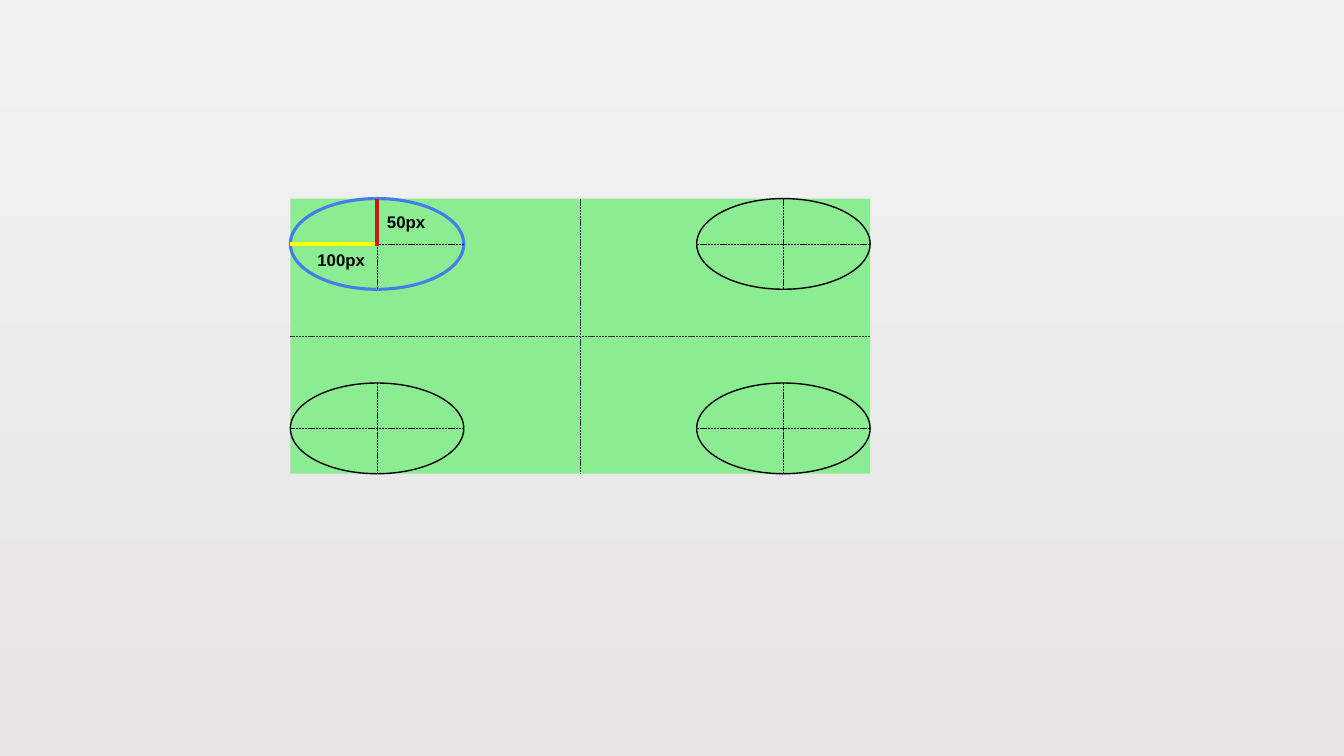
from lxml import etree
from pptx import Presentation
from pptx.dml.color import RGBColor
from pptx.enum import dml, shapes, text
from pptx.oxml import ns
from pptx.util import Inches, Pt

COLORS = {"top": "F2F2F2", "bottom": "E6E4E4", "box": "8CEC92", "axis": "3B3737",
          "black": "000000", "blue": "477DEA", "yellow": "FFFF00", "red": "C51A16"}
LEFT, TOP, WIDTH, HEIGHT = 2.88, 1.97, 5.75, 2.73
OVAL_W, OVAL_H = 1.72, 0.9
RIGHT, BOTTOM = LEFT + WIDTH, TOP + HEIGHT
OVALS = [(LEFT, TOP, "blue", 2.25), (RIGHT - OVAL_W, TOP, "black", 1),
         (RIGHT - OVAL_W, BOTTOM - OVAL_H, "black", 1), (LEFT, BOTTOM - OVAL_H, "black", 1)]
CX, CY = LEFT + OVAL_W / 2, TOP + OVAL_H / 2
RADII = [(LEFT, CY, CX, CY, "yellow"), (CX, TOP, CX, CY + 0.02, "red")]
LABELS = [("50px", 3.74, 2.05), ("100px", 3.05, 2.43)]
FONT = {"name": "Arial", "size": Pt(12), "bold": True}


def rgb(name):
    return RGBColor.from_string(COLORS[name])


def set_line(sp, color, width):
    sp.line.color.rgb = rgb(color)
    sp.line.width = Pt(width)


def add_shape(kind, x, y, w, h):
    sp = s.shapes.add_shape(kind, *map(Inches, (x, y, w, h)))
    sp.shadow.inherit = False
    return sp


def add_line(x1, y1, x2, y2, color, width, dash=None):
    sp = s.shapes.add_connector(shapes.MSO_CONNECTOR.STRAIGHT,
                                *map(Inches, (x1, y1, x2, y2)))
    set_line(sp, color, width)
    if dash:
        sp.line.dash_style = dash
    etree.SubElement(sp._element.spPr, ns.qn("a:effectLst"))


def add_cross(x, y, w, h, color):
    dash = dml.MSO_LINE.SQUARE_DOT
    add_line(x, y + h / 2, x + w, y + h / 2, color, 0.5, dash)
    add_line(x + w / 2, y, x + w / 2, y + h, color, 0.5, dash)


prs = Presentation()
prs.slide_width, prs.slide_height = Inches(13.33), Inches(7.5)
s = prs.slides.add_slide(prs.slide_layouts[6])
fill = s.background.fill
fill.gradient()
fill.gradient_angle = 270
for stop, position, color in zip(fill.gradient_stops, (0, 1), ("top", "bottom")):
    stop.position = position
    stop.color.rgb = rgb(color)

box = add_shape(shapes.MSO_SHAPE.RECTANGLE, LEFT, TOP, WIDTH, HEIGHT)
box.fill.solid()
box.fill.fore_color.rgb = rgb("box")
box.line.fill.background()
add_cross(LEFT, TOP, WIDTH, HEIGHT, "axis")

for x, y, color, width in OVALS:
    oval = add_shape(shapes.MSO_SHAPE.OVAL, x, y, OVAL_W, OVAL_H)
    oval.fill.background()
    set_line(oval, color, width)
    add_cross(x, y, OVAL_W, OVAL_H, "black")

for *ends, color in RADII:
    add_line(*ends, color, 3)

for label, x, y in LABELS:
    tf = s.shapes.add_textbox(*map(Inches, (x, y, 0.76, 0.3))).text_frame
    tf.word_wrap = True
    tf.auto_size = text.MSO_AUTO_SIZE.SHAPE_TO_FIT_TEXT
    r = tf.paragraphs[0].add_run()
    r.text = label
    for key, value in FONT.items():
        setattr(r.font, key, value)
    r.font.color.rgb = rgb("black")

prs.save("out.pptx")
